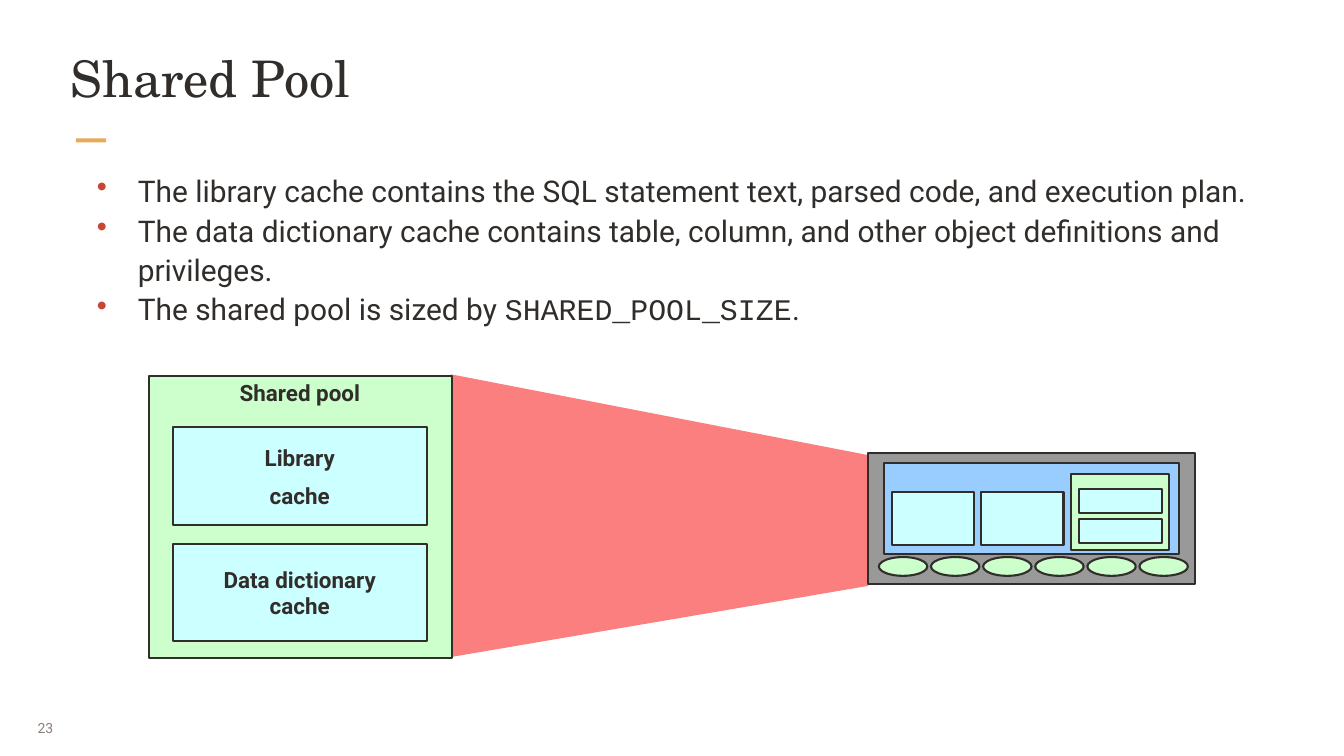
from lxml import etree
from pptx import Presentation
from pptx.dml.color import RGBColor
from pptx.enum.shapes import MSO_SHAPE
from pptx.enum.text import MSO_ANCHOR, PP_ALIGN
from pptx.oxml.ns import qn
from pptx.util import Cm, Pt

RECT, OVAL = MSO_SHAPE.RECTANGLE, MSO_SHAPE.OVAL
TOP, MIDDLE = MSO_ANCHOR.TOP, MSO_ANCHOR.MIDDLE
LEFT, CENTER = PP_ALIGN.LEFT, PP_ALIGN.CENTER

SANS, SERIF, MONO = "Roboto", "TeX Gyre Schola", "Courier New"
COLORS = {
    "ink": "312D2A",
    "muted": "8B8078",
    "gold": "E6AC58",
    "bullet": "C74634",
    "beam": "FB7F7F",
    "green": "CCFFCC",
    "cyan": "CCFFFF",
    "blue": "99CCFF",
    "gray": "999999",
}
LABEL = {"size": 24, "bold": True, "align": CENTER, "inset": (0.38, 0.2)}


def color(name):
    return RGBColor.from_string(COLORS[name])


def paint(shape, fill, line=None):
    shape.shadow.inherit = False
    shape.fill.solid()
    shape.fill.fore_color.rgb = color(fill)
    if line:
        shape.line.color.rgb = color(line)
        shape.line.width = Pt(2.25)
    else:
        shape.line.fill.background()
    return shape


def block(slide, kind, box, fill, line="ink"):
    shape = slide.shapes.add_shape(kind, *[Cm(v) for v in box])
    return paint(shape, fill, line)


def text_box(slide, box):
    return slide.shapes.add_textbox(*[Cm(v) for v in box])


def add_bullet(para):
    props = para._p.get_or_add_pPr()
    props.set("marL", str(Cm(2.54)))
    props.set("indent", str(Cm(-1.55)))
    tint = etree.SubElement(props, qn("a:buClr"))
    etree.SubElement(tint, qn("a:srgbClr"), val=COLORS["bullet"])
    etree.SubElement(props, qn("a:buChar"), char="•")


def write(shape, paras, size=24, font=SANS, ink="ink", bold=False, align=LEFT,
          anchor=TOP, inset=(0.08, 0.08), wrap=True, gap=0, lines=None,
          bullet=False):
    frame = shape.text_frame
    frame.word_wrap = wrap
    frame.vertical_anchor = anchor
    frame.margin_left = frame.margin_right = Cm(inset[0])
    frame.margin_top = frame.margin_bottom = Cm(inset[1])
    for i, runs in enumerate(paras):
        para = frame.paragraphs[0] if i == 0 else frame.add_paragraph()
        para.alignment = align
        para.space_before = Pt(gap if i else 0)
        if lines:
            para.line_spacing = lines
        if bullet:
            add_bullet(para)
        for text, face in runs:
            for j, part in enumerate(text.split("\n")):
                if j:
                    para.add_line_break()
                run = para.add_run()
                run.text = part
                run.font.size = Pt(size)
                run.font.name = face or font
                run.font.bold = bold
                run.font.color.rgb = color(ink)


def plain(*texts):
    return [[(text, None)] for text in texts]


def add_frame(slide):
    block(slide, RECT, (2.87, 5.23, 1.14, 0.15), "gold", None)
    write(text_box(slide, (1.09, 26.77, 1.65, 1.47)), plain("23"), size=15,
          ink="muted", anchor=MIDDLE, inset=(0.33, 0.18), wrap=False)
    write(text_box(slide, (2.59, 1.7, 45.62, 3.25)), plain("Shared Pool"),
          size=54, font=SERIF)


def add_points(slide):
    points = plain(
        "The library cache contains the SQL statement text, parsed code, "
        "and execution plan.",
        "The data dictionary cache contains table, column, and other object "
        "definitions and privileges.",
    )
    points.append([("The shared pool is sized by ", None),
                   ("SHARED_POOL_SIZE", MONO), (".", None)])
    write(text_box(slide, (2.59, 6.32, 45.62, 6.12)), points, size=32,
          lines=1.1, bullet=True)


def add_beam(slide):
    spots = [(17.04, 14.15), (17.04, 24.84), (32.82, 22.15), (32.89, 17.22)]
    spots = [(Cm(x), Cm(y)) for x, y in spots]
    path = slide.shapes.build_freeform(*spots[0])
    path.add_line_segments(spots[1:], close=True)
    paint(path.convert_to_shape(), "beam")


def add_pool(slide):
    block(slide, RECT, (5.64, 14.2, 11.43, 10.69), "green")
    caches = [(16.15, plain("Library", "cache")),
              (20.55, plain("Data dictionary\ncache"))]
    for top, paras in caches:
        cache = block(slide, RECT, (6.53, top, 9.6, 3.7), "cyan")
        write(cache, paras, anchor=MIDDLE, wrap=False, gap=12, **LABEL)
    write(text_box(slide, (6.05, 14.15, 10.57, 1.42)), plain("Shared pool"),
          **LABEL)


def add_server(slide):
    block(slide, RECT, (32.82, 17.12, 12.34, 4.95), "gray")
    block(slide, RECT, (33.43, 17.5, 11.13, 3.43), "blue")
    for left in (33.71, 37.08):
        block(slide, RECT, (left, 18.59, 3.12, 2.01), "cyan")
    block(slide, RECT, (40.49, 17.91, 3.71, 2.87), "green")
    for top in (18.49, 19.63):
        block(slide, RECT, (40.79, top, 3.12, 0.91), "cyan")
    for i in range(6):
        block(slide, OVAL, (33.22 + 1.97 * i, 21.06, 1.83, 0.71), "green")


def main():
    deck = Presentation()
    deck.slide_width, deck.slide_height = Cm(50.8), Cm(28.58)
    slide = deck.slides.add_slide(deck.slide_layouts[6])
    add_frame(slide)
    add_points(slide)
    add_beam(slide)
    add_pool(slide)
    add_server(slide)
    deck.save("out.pptx")


if __name__ == "__main__":
    main()
